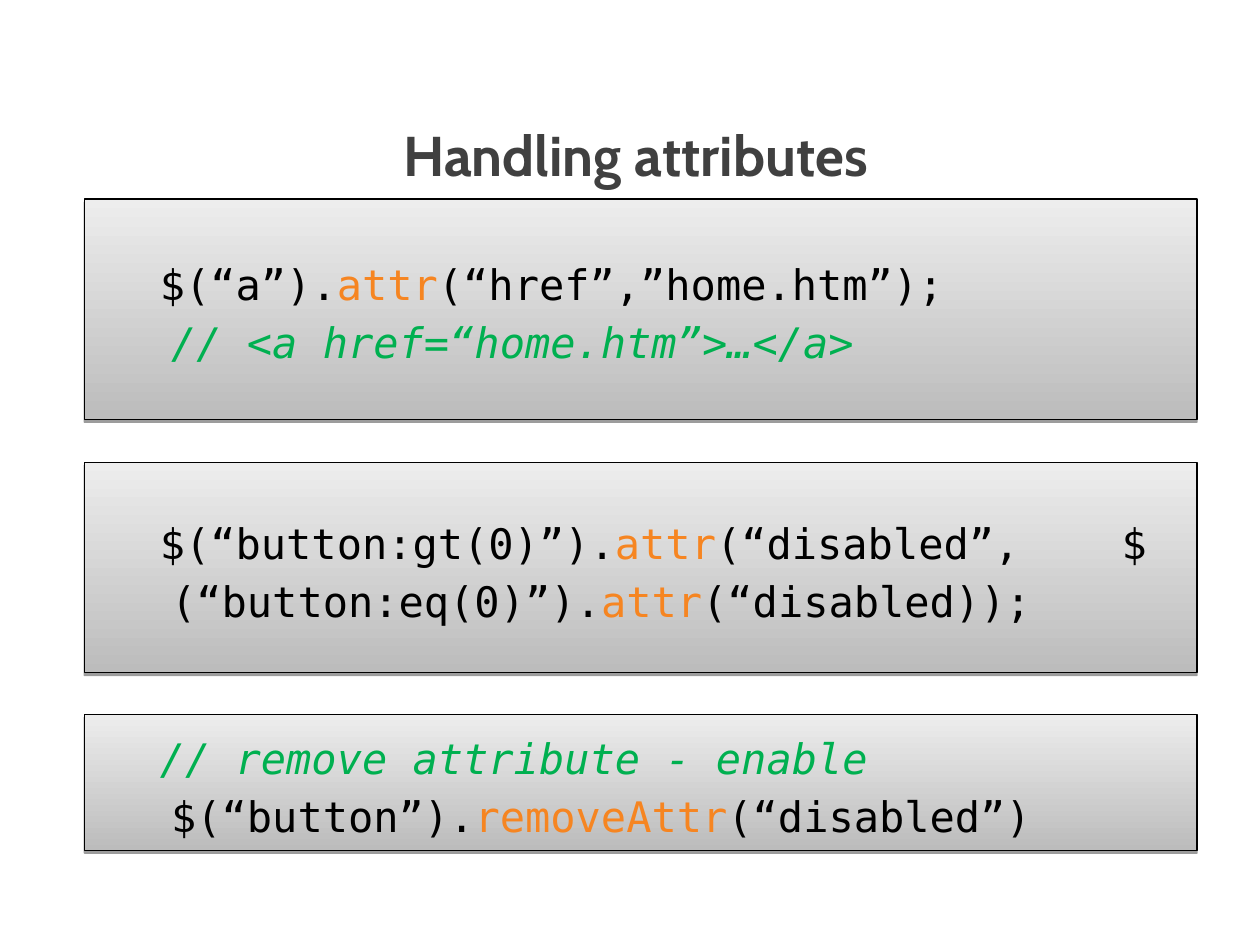
from lxml import etree
from pptx import Presentation
from pptx.dml.color import RGBColor
from pptx.enum import shapes, text
from pptx.oxml import parse_xml
from pptx.oxml.ns import nsdecls, qn
from pptx.util import Inches, Pt

CODE = "000000"
METHOD = "F68521"
COMMENT = "00B050"

ATTR_EXAMPLE = [
    ("$(“a”).", CODE), ("attr", METHOD), ("(“href”,”home.htm”);\n", CODE),
    ("// <a href=“home.htm”>…</a>", COMMENT),
]
DISABLE_EXAMPLE = [
    ("$(“button:gt(0)”).", CODE), ("attr", METHOD),
    ("(“disabled”,\t\t\t\t$(“button:eq(0)”).", CODE),
    ("attr", METHOD), ("(“disabled));", CODE),
]
REMOVE_EXAMPLE = [
    ("// remove attribute - enable\n", COMMENT),
    ("$(“button”).", CODE), ("removeAttr", METHOD), ("(“disabled”)\t", CODE),
]


def rgb(value):
    """Return the colour for a hex string."""
    return RGBColor.from_string(value)


def format_paragraph(paragraph, margin, indent):
    """Set line spacing, indents and a tab stop at every inch."""
    paragraph.line_spacing = 1.15
    properties = paragraph._p.get_or_add_pPr()
    properties.set("marL", str(Inches(margin)))
    properties.set("indent", str(Inches(indent)))
    stops = etree.SubElement(properties, qn("a:tabLst"))
    for inch in range(8):
        etree.SubElement(stops, qn("a:tab"), pos=str(Inches(inch)), algn="l")


def add_title(slide, wording):
    """Add the centred slide heading."""
    box = slide.shapes.add_textbox(Inches(0.42), Inches(0.83), Inches(9.25), Inches(0.92))
    box.text_frame.word_wrap = True
    heading = box.text_frame.paragraphs[0]
    heading.text = wording
    heading.alignment = text.PP_ALIGN.CENTER
    format_paragraph(heading, 0.38, -0.38)
    heading.font.name = "Cabin"
    heading.font.size = Pt(32)
    heading.font.bold = True
    heading.font.color.rgb = rgb("404040")


def add_drop_shadow(panel):
    """Give the panel a hard, translucent shadow below its edge."""
    panel.shadow.inherit = False
    effects = panel._element.spPr.find(qn("a:effectLst"))
    effects.append(parse_xml(
        f'<a:outerShdw {nsdecls("a")} blurRad="0" dist="{Pt(1.6)}" dir="5400000" rotWithShape="0">'
        '<a:srgbClr val="000000"><a:alpha val="38000"/></a:srgbClr></a:outerShdw>'
    ))


def add_code_panel(slide, top, height, code):
    """Add a grey gradient panel holding coloured code."""
    panel = slide.shapes.add_shape(
        shapes.MSO_SHAPE.RECTANGLE, Inches(0.67), Inches(top), Inches(8.83), Inches(height))
    panel.fill.gradient()
    panel.fill.gradient_angle = 90
    for stop, shade, position in zip(panel.fill.gradient_stops, ("BCBCBC", "EDEDED"), (0, 1)):
        stop.color.rgb = rgb(shade)
        stop.position = position
    panel.line.color.rgb = rgb("000000")
    panel.line.width = Pt(0.75)
    add_drop_shadow(panel)

    panel.text_frame.word_wrap = True
    panel.text_frame.vertical_anchor = text.MSO_ANCHOR.MIDDLE
    listing = panel.text_frame.paragraphs[0]
    listing.alignment = text.PP_ALIGN.LEFT
    listing.level = 1
    format_paragraph(listing, 0.59, -0.09)
    listing.font.name = "DejaVu Sans Mono"
    listing.font.size = Pt(24)
    for wording, color in code:
        token = listing.add_run()
        token.text = wording.rstrip("\n")
        token.font.color.rgb = rgb(color)
        if color == COMMENT:
            token.font.italic = True
        if wording.endswith("\n"):
            listing.add_line_break()


def main():
    """Build and save the slide."""
    deck = Presentation()
    deck.slide_width, deck.slide_height = Inches(10), Inches(7.5)
    slide = deck.slides.add_slide(deck.slide_layouts[6])
    add_title(slide, "Handling attributes")
    add_code_panel(slide, 1.58, 1.75, ATTR_EXAMPLE)
    add_code_panel(slide, 3.67, 1.67, DISABLE_EXAMPLE)
    add_code_panel(slide, 5.67, 1.08, REMOVE_EXAMPLE)
    deck.save("out.pptx")


if __name__ == "__main__":
    main()
